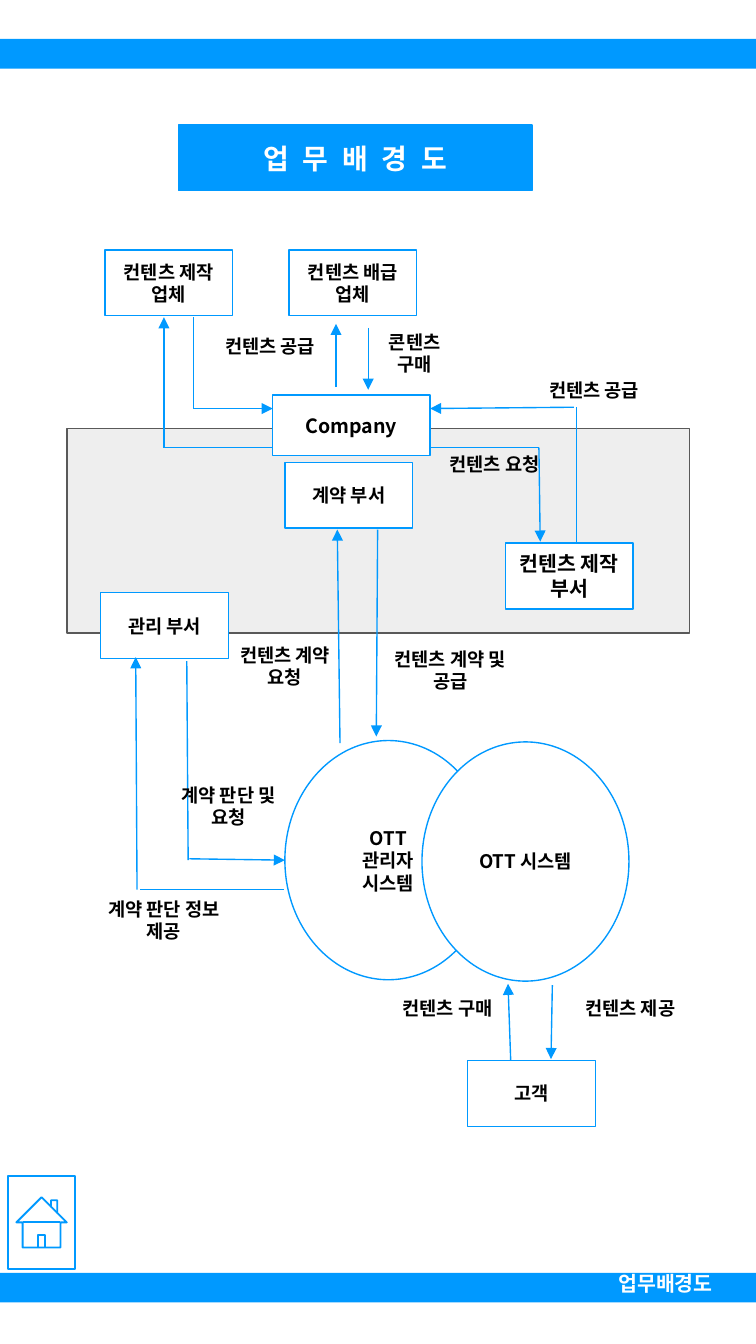
from dataclasses import dataclass

from lxml import etree
from pptx import Presentation
from pptx.dml.color import RGBColor
from pptx.enum import shapes, text
from pptx.oxml import ns
from pptx.util import Inches, Pt


@dataclass(frozen=True)
class Theme:
    blue: RGBColor = RGBColor(0x00, 0x99, 0xFF)
    white: RGBColor = RGBColor(0xFF, 0xFF, 0xFF)
    black: RGBColor = RGBColor(0, 0, 0)
    panel: RGBColor = RGBColor(0xEE, 0xEE, 0xEE)
    panel_edge: RGBColor = RGBColor(0x59, 0x59, 0x59)
    korean: str = "Noto Sans CJK KR"
    latin: str = "Arial"
    title: float = 15
    large: float = 11
    company: float = 10.5
    body: float = 10
    line: float = 0.75
    icon_line: float = 1


T = Theme()
SLIDE_HEIGHT = 10
SLIDE_WIDTH = SLIDE_HEIGHT * 9 / 16
RECT = shapes.MSO_SHAPE.RECTANGLE
BOX_SIZE = 0.95, 0.49
CIRCLE_SIZE = 1.54, 1.78

# text, left, top
BOXES = [
    ("계약 부서", 2.12, 3.44),
    ("관리 부서", 0.75, 4.41),
    ("컨텐츠 제작 업체", 0.78, 1.86),
    ("컨텐츠 배급 업체", 2.15, 1.86),
    ("고객", 3.48, 7.89),
]

# text, left, top, width, height
LABELS = [
    ("컨텐츠 공급", 1.51, 2.45, 1, 0.25),
    ("콘텐츠 구매", 2.72, 2.42, 0.73, 0.42),
    ("컨텐츠 공급", 3.92, 2.78, 1, 0.25),
    ("컨텐츠 요청", 3.18, 3.33, 1, 0.25),
    ("컨텐츠 구매", 2.83, 7.38, 1, 0.25),
    ("컨텐츠 제공", 4.19, 7.38, 1, 0.25),
    ("컨텐츠 계약 요청", 1.62, 4.75, 1, 0.42),
    ("컨텐츠 계약 및 공급", 2.85, 4.78, 1, 0.42),
    ("계약 판단 및 요청", 1.2, 5.79, 1, 0.42),
    ("계약 판단 정보 제공", 0.72, 6.64, 1, 0.42),
]

# x1, y1, x2, y2
ARROWS = [
    (2.81, 3.94, 2.8, 5.48),
    (2.53, 5.53, 2.51, 3.94),
    (2.74, 2.44, 2.74, 2.9),
    (2.5, 2.88, 2.5, 2.41),
    (1.22, 3.33, 1.22, 2.36),
    (1.44, 3.04, 2.03, 3.04),
    (4.01, 3.33, 4.02, 4.03),
    (4.27, 3.03, 3.2, 3.04),
    (1.41, 6.39, 2.12, 6.4),
    (1.02, 6.62, 1.01, 4.89),
    (3.8, 7.89, 3.78, 7.32),
    (4.11, 7.33, 4.1, 7.88),
]
LINES = [
    (2.03, 3.33, 1.22, 3.33),
    (1.44, 3.04, 1.44, 2.36),
    (3.2, 3.33, 4.01, 3.33),
    (4.29, 4.04, 4.29, 3.03),
    (1.4, 6.4, 1.39, 4.92),
    (2.11, 6.62, 1.04, 6.62),
]


def write(sp, lines, size=T.body, color=T.black, font=T.korean,
          align=text.PP_ALIGN.CENTER, anchor=text.MSO_ANCHOR.MIDDLE):
    """Fill a shape with bold paragraphs, one for each line."""
    tf = sp.text_frame
    tf.word_wrap = True
    tf.auto_size = text.MSO_AUTO_SIZE.NONE
    tf.vertical_anchor = anchor
    tf.margin_left = tf.margin_right = Inches(0.08)
    tf.margin_top = tf.margin_bottom = Inches(0.04)
    tf.text = lines
    for p in tf.paragraphs:
        p.alignment = align
        p.font.name, p.font.size, p.font.bold = font, Pt(size), True
        p.font.color.rgb = color
        for r in p.runs:
            ea = etree.SubElement(r._r.get_or_add_rPr(), ns.qn("a:ea"))
            ea.set("typeface", T.korean)


def paint(sp, fill, line, width=T.line):
    if fill is None:
        sp.fill.background()
    else:
        sp.fill.solid()
        sp.fill.fore_color.rgb = fill
    if line is None:
        sp.line.fill.background()
    else:
        sp.line.color.rgb = line
        sp.line.width = Pt(width)


def add_shape(s, kind, at, fill=T.white, line=T.blue, width=T.line):
    sp = s.shapes.add_shape(kind, *map(Inches, at))
    sp.shadow.inherit = False
    paint(sp, fill, line, width)
    return sp


def add_label(s, words, at, **style):
    sp = s.shapes.add_textbox(*map(Inches, at))
    write(sp, words, anchor=text.MSO_ANCHOR.TOP, **style)


def add_line(s, ends, arrow=False):
    line = s.shapes.add_connector(shapes.MSO_CONNECTOR.STRAIGHT, *map(Inches, ends))
    line.line.color.rgb = T.blue
    line.line.width = Pt(T.line)
    if arrow:
        etree.SubElement(line.line._get_or_add_ln(), ns.qn("a:tailEnd")).set("type", "triangle")
    etree.SubElement(line._element.spPr, ns.qn("a:effectLst"))


def add_title(s):
    title = s.shapes.title
    title.left, title.top, title.width, title.height = map(Inches, (1.33, 0.93, 2.63, 0.49))
    paint(title, T.blue, T.blue)
    write(title, "업 무 배 경 도", T.title, T.white)
    for r in title.text_frame.paragraphs[0].runs:
        r._r.get_or_add_rPr().set("spc", "200")


def add_departments(s):
    add_shape(s, RECT, (0.5, 3.19, 4.63, 1.52), T.panel, T.panel_edge)
    for words, left, top in BOXES:
        write(add_shape(s, RECT, (left, top, *BOX_SIZE)), words)
    write(add_shape(s, RECT, (2.03, 2.94, 1.17, 0.45)), "Company", T.company)
    production = add_shape(s, RECT, (3.76, 4.04, *BOX_SIZE))
    write(production, "컨텐츠 제작 부서", T.large, font=T.latin)


def add_systems(s):
    oval = shapes.MSO_SHAPE.OVAL
    admin = add_shape(s, oval, (2.12, 5.51, *CIRCLE_SIZE), fill=None)
    write(admin, "OTT\n관리자\n시스템")
    write(add_shape(s, oval, (3.14, 5.52, *CIRCLE_SIZE)), "OTT 시스템")


def add_flows(s):
    for ends in LINES:
        add_line(s, ends)
    for ends in ARROWS:
        add_line(s, ends, arrow=True)
    for words, *at in LABELS:
        add_label(s, words, at)


def add_frame(s):
    """Add the top and bottom bands, the footer and the home button."""
    for top in (0.29, 9.47):
        add_shape(s, RECT, (0, top, SLIDE_WIDTH, 0.22), T.blue, None)
    add_label(s, "업무배경도", (4.52, 9.42, 1.04, 0.31), size=T.large,
              color=T.white, align=text.PP_ALIGN.LEFT)
    add_shape(s, shapes.MSO_SHAPE.ACTION_BUTTON_HOME, (0.06, 8.75, 0.5, 0.69),
              None, T.blue, T.icon_line)


def main():
    prs = Presentation()
    prs.slide_width, prs.slide_height = Inches(SLIDE_WIDTH), Inches(SLIDE_HEIGHT)
    s = prs.slides.add_slide(prs.slide_layouts[5])
    add_title(s)
    add_departments(s)
    add_systems(s)
    add_flows(s)
    add_frame(s)
    prs.save("out.pptx")


if __name__ == "__main__":
    main()
